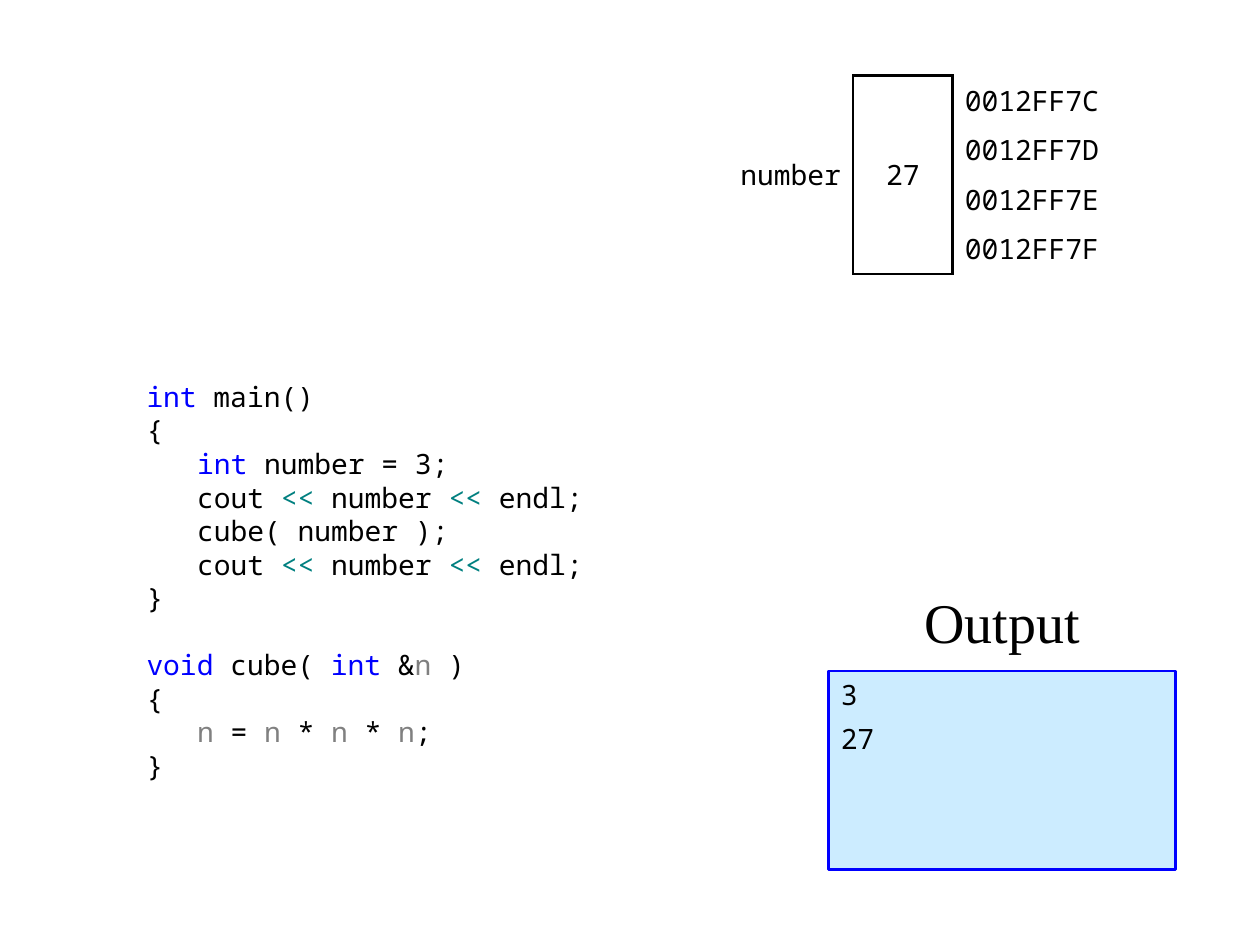
from lxml import etree
from pptx import Presentation
from pptx.dml.color import RGBColor
from pptx.enum.shapes import MSO_SHAPE
from pptx.enum.text import MSO_ANCHOR, MSO_AUTO_SIZE, PP_ALIGN
from pptx.oxml.ns import qn
from pptx.util import Cm, Pt

RECTANGLE = MSO_SHAPE.RECTANGLE
TOP, MIDDLE = MSO_ANCHOR.TOP, MSO_ANCHOR.MIDDLE
NO_AUTOFIT = MSO_AUTO_SIZE.NONE
LEFT, CENTER, RIGHT = PP_ALIGN.LEFT, PP_ALIGN.CENTER, PP_ALIGN.RIGHT

BLACK = RGBColor(0x00, 0x00, 0x00)
BLUE = RGBColor(0x00, 0x00, 0xFF)
TEAL = RGBColor(0x00, 0x80, 0x80)
GRAY = RGBColor(0x80, 0x80, 0x80)
PALE_BLUE = RGBColor(0xCC, 0xEC, 0xFF)

MONO, SERIF = "Noto Sans Mono", "Times New Roman"
TOKEN_COLORS = {"int": BLUE, "void": BLUE, "<<": TEAL, "n": GRAY}
PLAIN_TABLE = "{2D5ABB26-0587-4C30-8999-92F81FD0307C}"

PRINT_NUMBER = (1, ["cout ", "<<", " number ", "<<", " endl;"])
MAIN_CODE = [
    (0, ["int", " main()"]),
    (0, ["{"]),
    (1, ["int", " number = 3;"]),
    PRINT_NUMBER,
    (1, ["cube( number );"]),
    PRINT_NUMBER,
    (0, ["}"]),
]
CUBE_CODE = [
    (0, ["void", " cube( ", "int", " &", "n", " )"]),
    (0, ["{"]),
    (1, ["n", " = ", "n", " * ", "n", " * ", "n", ";"]),
    (0, ["}"]),
]
ADDRESSES = ["0012FF7C", "0012FF7D", "0012FF7E", "0012FF7F"]


class CodeSlide:
    """Holds the text style and the slide, and adds each kind of element."""

    def __init__(self, slide, font=MONO, size=16):
        self.slide = slide
        self.font = font
        self.size = size

    def add_runs(self, paragraph, tokens, align=LEFT, before=0, font=None, size=None):
        paragraph.alignment = align
        paragraph.space_before = Pt(before)
        for token in tokens:
            run = paragraph.add_run()
            run.text = token
            run.font.name = font or self.font
            run.font.size = Pt(size or self.size)
            run.font.color.rgb = TOKEN_COLORS.get(token, BLACK)

    def paragraphs(self, frame, count):
        return [frame.paragraphs[0]] + [frame.add_paragraph() for _ in range(count - 1)]

    def code(self, body, functions, left, top, width, height):
        body.left, body.top, body.width, body.height = map(Cm, (left, top, width, height))
        frame = body.text_frame
        frame.auto_size = NO_AUTOFIT
        frame.vertical_anchor = TOP
        lines = [
            (level, tokens, 19 if position and not row else 0)
            for position, function in enumerate(functions)
            for row, (level, tokens) in enumerate(function)
        ]
        for paragraph, (level, tokens, gap) in zip(self.paragraphs(frame, len(lines)), lines):
            self.add_runs(paragraph, tokens, before=gap)
            properties = paragraph._p.get_or_add_pPr()
            properties.set("marL", str(Cm(1.02 * level)))
            properties.set("indent", "0")
            etree.SubElement(properties, qn("a:buNone"))

    def cell(self, cell, text, align, sides):
        cell.vertical_anchor = MIDDLE
        cell.margin_left = cell.margin_right = Cm(0.25)
        cell.margin_top = cell.margin_bottom = Cm(0.05)
        properties = cell._tc.get_or_add_tcPr()
        for side in sides:
            line = etree.SubElement(properties, qn(f"a:ln{side}"), w=str(Pt(1.5)))
            fill = etree.SubElement(line, qn("a:solidFill"))
            etree.SubElement(fill, qn("a:srgbClr"), val=str(BLACK))
        cell.fill.background()
        self.add_runs(cell.text_frame.paragraphs[0], [text], align)

    def memory(self, variable, value, addresses, left, top, widths, row_height):
        count = len(addresses)
        frame = self.slide.shapes.add_table(
            count, len(widths), Cm(left), Cm(top), Cm(sum(widths)), Cm(row_height * count)
        )
        table = frame.table
        table.first_row = table.horz_banding = False
        table._tbl.tblPr.find(qn("a:tableStyleId")).text = PLAIN_TABLE
        for column, width in zip(table.columns, widths):
            column.width = Cm(width)
        for column in range(2):
            table.cell(0, column).merge(table.cell(count - 1, column))
        self.cell(table.cell(0, 0), variable, RIGHT, "R")
        self.cell(table.cell(0, 1), value, CENTER, "LRTB")
        for index, address in enumerate(addresses):
            table.rows[index].height = Cm(row_height)
            self.cell(table.cell(index, 2), address, LEFT, "L")

    def output(self, lines, left, top, width, height):
        screen = self.slide.shapes.add_shape(RECTANGLE, *map(Cm, (left, top, width, height)))
        screen.shadow.inherit = False
        screen.fill.solid()
        screen.fill.fore_color.rgb = PALE_BLUE
        screen.line.color.rgb = BLUE
        screen.line.width = Pt(1.5)
        frame = screen.text_frame
        frame.vertical_anchor = TOP
        for paragraph, line in zip(self.paragraphs(frame, len(lines)), lines):
            self.add_runs(paragraph, [line], before=6)

    def heading(self, text, left, top, width, height):
        label = self.slide.shapes.add_textbox(*map(Cm, (left, top, width, height)))
        frame = label.text_frame
        frame.word_wrap = False
        frame.vertical_anchor = MIDDLE
        self.add_runs(frame.paragraphs[0], [text], CENTER, font=SERIF, size=32)


def main():
    deck = Presentation()
    deck.slide_width, deck.slide_height = Cm(25.4), Cm(19.05)
    slide = deck.slides.add_slide(deck.slide_layouts[1])
    title, body = slide.placeholders
    title.element.getparent().remove(title.element)

    page = CodeSlide(slide)
    page.code(body, [MAIN_CODE, CUBE_CODE], 2.7, 7.52, 9.5, 8.5)
    page.memory("number", "27", ADDRESSES, 14.2, 1.52, [3, 2, 4], 1)
    page.output(["3", "27"], 16.7, 13.53, 7, 4)
    page.heading("Output", 18.2, 11.53, 4, 2)
    deck.save("out.pptx")


if __name__ == "__main__":
    main()
